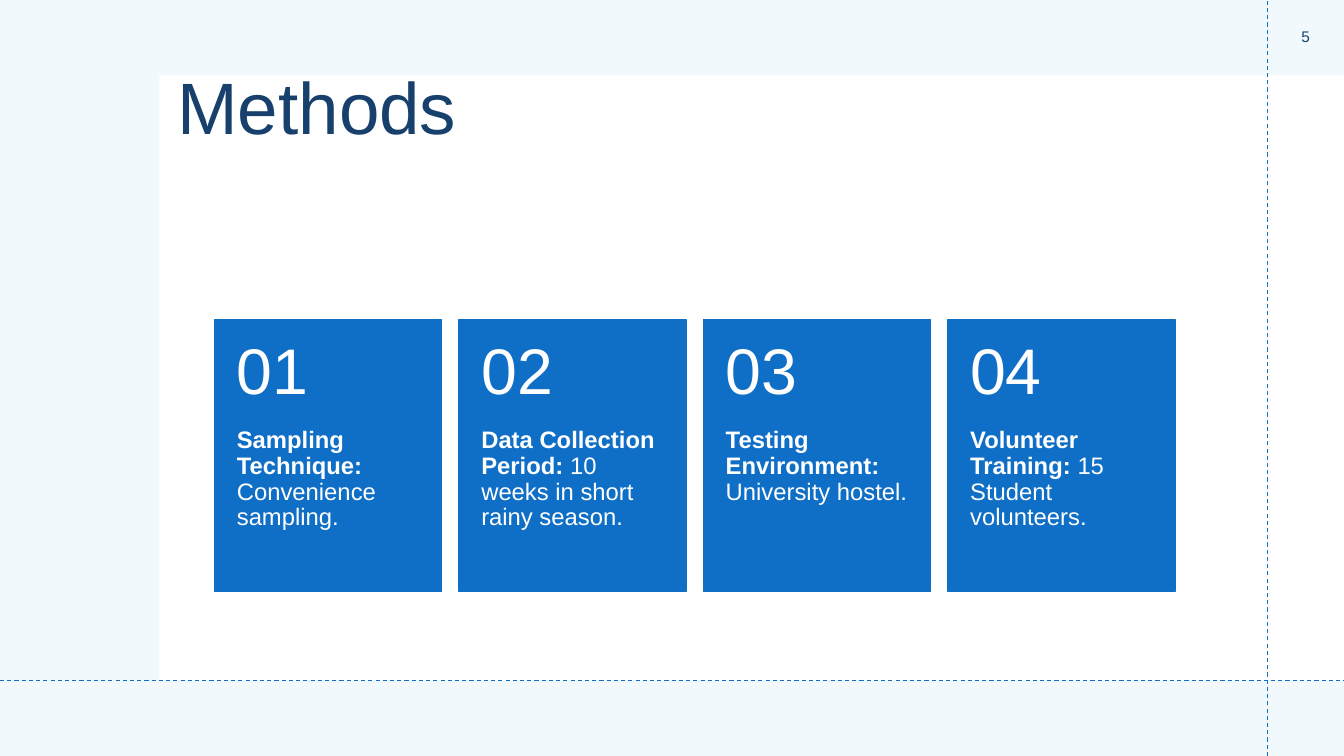
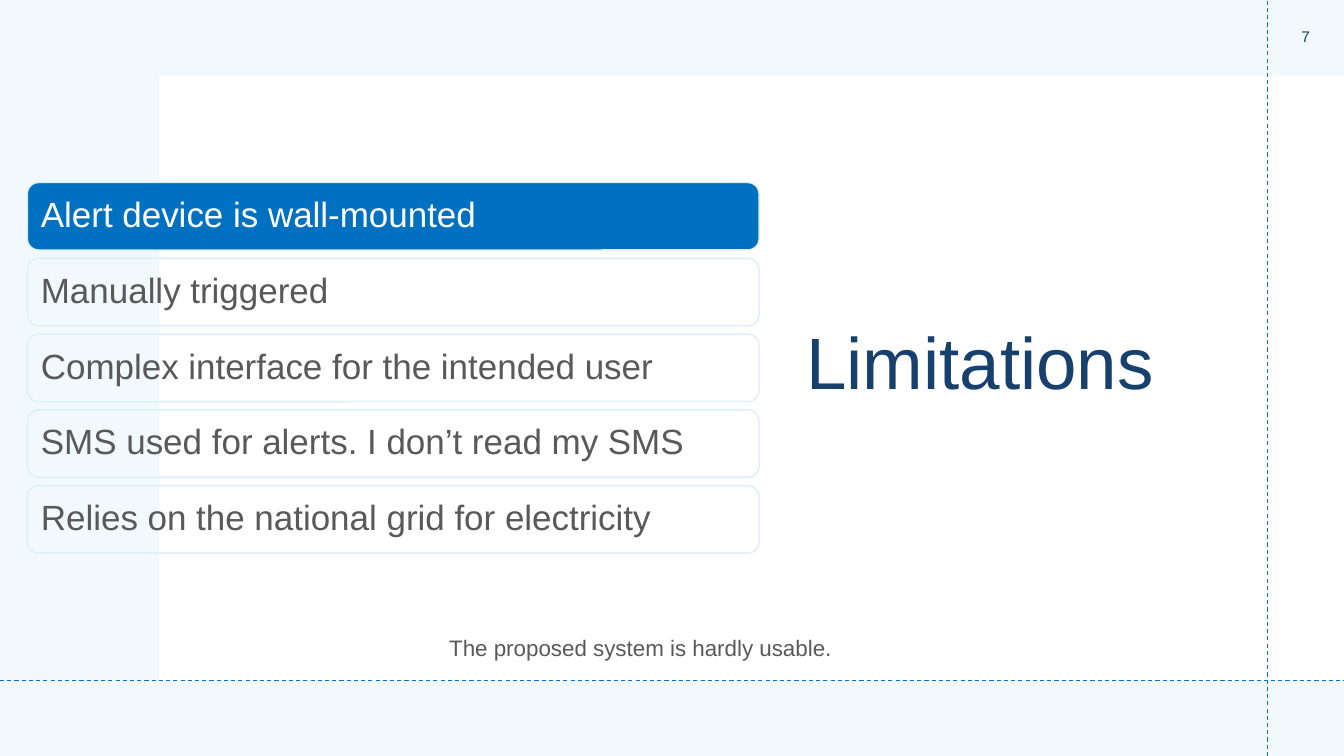
from dataclasses import dataclass

from lxml.etree import SubElement
from pptx import Presentation
from pptx.dml.color import RGBColor
from pptx.enum.dml import MSO_LINE
from pptx.enum.shapes import MSO_CONNECTOR, MSO_SHAPE
from pptx.enum.text import MSO_ANCHOR, MSO_AUTO_SIZE, PP_ALIGN
from pptx.oxml.ns import qn
from pptx.shapes.autoshape import Shape
from pptx.slide import Slide
from pptx.util import Cm, Pt

FONT = "Arial"
WHITE = "FFFFFF"
NAVY = "17406D"
BLUE = "0F6FC6"
BRIGHT_BLUE = "0070C0"
PALE_BLUE = "DBEFF9"
GREY = "595959"

SLIDE_WIDTH, SLIDE_HEIGHT = 33.87, 19.05
TITLE_ONLY = 5


@dataclass(frozen=True)
class Box:
    """A rectangle in centimetres."""
    left: float
    top: float
    width: float
    height: float

    def lengths(self) -> tuple[Cm, Cm, Cm, Cm]:
        return Cm(self.left), Cm(self.top), Cm(self.width), Cm(self.height)


@dataclass(frozen=True)
class Method:
    heading: str
    detail: str


METHODS = [
    Method("Sampling Technique: ", "Convenience sampling."),
    Method("Data Collection Period: ", "10 weeks in short rainy season."),
    Method("Testing Environment: ", "University hostel."),
    Method("Volunteer Training: ", "15 Student volunteers."),
]
FIRST_CARD = Box(5.41, 8.05, 5.72, 6.86)
CARD_PITCH = 6.16
CARD_NUMBER_HEIGHT = 2.74

LIMITATIONS = [
    "Alert device is wall-mounted",
    "Manually triggered",
    "Complex interface for the intended user",
    "SMS used for alerts. I don’t read my SMS",
    "Relies on the national grid for electricity",
]
FIRST_BAR = Box(0.69, 4.6, 18.44, 1.7)
BAR_PITCH = 1.91


def rgb(color: str) -> RGBColor:
    return RGBColor.from_string(color)


def write_text(shape: Shape, text: str, *, size: float, color: str, lead: str = "",
               align: PP_ALIGN = PP_ALIGN.LEFT, anchor: MSO_ANCHOR = MSO_ANCHOR.TOP,
               spacing: float = 0.9,
               insets: tuple[float, float, float, float] = (0.25, 0.13, 0.25, 0.13)) -> None:
    """Write one paragraph, with an optional bold lead; insets run left, top, right, bottom."""
    frame = shape.text_frame
    frame.word_wrap = True
    frame.auto_size = MSO_AUTO_SIZE.NONE
    frame.vertical_anchor = anchor
    frame.margin_left, frame.margin_top, frame.margin_right, frame.margin_bottom = map(Cm, insets)
    paragraph = frame.paragraphs[0]
    paragraph.alignment = align
    paragraph.line_spacing = spacing
    for part, bold in ((lead, True), (text, False)):
        if part:
            run = paragraph.add_run()
            run.text = part
            run.font.name = FONT
            run.font.size = Pt(size)
            run.font.bold = bold
            run.font.color.rgb = rgb(color)


def add_panel(slide: Slide, box: Box, *, fill: str | None = None, line: str | None = None,
              opacity: int = 100, kind: MSO_SHAPE = MSO_SHAPE.RECTANGLE) -> Shape:
    panel = slide.shapes.add_shape(kind, *box.lengths())
    panel.shadow.inherit = False
    if fill:
        panel.fill.solid()
        panel.fill.fore_color.rgb = rgb(fill)
        if opacity < 100:
            color = panel.fill._xPr.find(qn("a:solidFill"))[0]
            SubElement(color, qn("a:alpha")).set("val", str(opacity * 1000))
    else:
        panel.fill.background()
    if line:
        panel.line.color.rgb = rgb(line)
        panel.line.width = Pt(1)
    else:
        panel.line.fill.background()
    return panel


def add_label(slide: Slide, box: Box, text: str, **text_format) -> Shape:
    label = slide.shapes.add_textbox(*box.lengths())
    write_text(label, text, **text_format)
    return label


def add_guide(slide: Slide, x1: float, y1: float, x2: float, y2: float) -> None:
    guide = slide.shapes.add_connector(MSO_CONNECTOR.STRAIGHT, Cm(x1), Cm(y1), Cm(x2), Cm(y2))
    guide.line.color.rgb = rgb(BLUE)
    guide.line.width = Pt(0.75)
    guide.line.dash_style = MSO_LINE.DASH
    SubElement(guide.element.spPr, qn("a:effectLst"))


def add_framed_slide(deck: Presentation, title: str, title_box: Box, number: int,
                     title_anchor: MSO_ANCHOR = MSO_ANCHOR.TOP) -> Slide:
    """Add a slide with the shared backdrop, title, number and guide lines."""
    slide = deck.slides.add_slide(deck.slide_layouts[TITLE_ONLY])
    slide.background.fill.solid()
    slide.background.fill.fore_color.rgb = rgb(WHITE)

    # Tinted border around a white content area
    add_panel(slide, Box(0, 0, SLIDE_WIDTH, SLIDE_HEIGHT), fill=PALE_BLUE, opacity=35)
    add_panel(slide, Box(4.02, 1.9, 29.85, 15.24), fill=WHITE)

    # Title, brought in front of the backdrop
    heading = slide.shapes.title
    slide.shapes.element.append(heading.element)
    heading.left, heading.top, heading.width, heading.height = title_box.lengths()
    write_text(heading, title, size=52, color=NAVY, anchor=title_anchor)

    # Slide number and guide lines
    add_label(slide, Box(31.95, -0.05, 1.91, 1.91), str(number), size=11, color=NAVY,
              align=PP_ALIGN.CENTER, anchor=MSO_ANCHOR.MIDDLE, spacing=1.0)
    add_guide(slide, 31.93, SLIDE_HEIGHT, 31.93, 0)
    add_guide(slide, 0, 17.15, SLIDE_WIDTH, 17.15)
    return slide


def add_method_card(slide: Slide, index: int, method: Method) -> None:
    left = FIRST_CARD.left + index * CARD_PITCH
    top, width, height = FIRST_CARD.top, FIRST_CARD.width, FIRST_CARD.height
    add_panel(slide, Box(left, top, width, height), fill=BLUE, line=BLUE)
    add_label(slide, Box(left, top + CARD_NUMBER_HEIGHT, width, height - CARD_NUMBER_HEIGHT),
              method.detail, lead=method.heading, size=17, color=WHITE,
              insets=(0.56, 0, 0.56, 0.91))
    add_label(slide, Box(left, top, width, CARD_NUMBER_HEIGHT), f"{index + 1:02}",
              size=46, color=WHITE, anchor=MSO_ANCHOR.MIDDLE, insets=(0.56, 0.46, 0.56, 0.46))


def add_limitation_bar(slide: Slide, index: int, limitation: str) -> None:
    highlighted = index == 0
    box = Box(FIRST_BAR.left, FIRST_BAR.top + index * BAR_PITCH,
              FIRST_BAR.width, FIRST_BAR.height)
    bar = add_panel(slide, box, fill=BRIGHT_BLUE if highlighted else None,
                    line=PALE_BLUE, kind=MSO_SHAPE.ROUNDED_RECTANGLE)
    # The preset adds a small corner inset of its own
    write_text(bar, limitation, size=25, color=WHITE if highlighted else GREY,
               anchor=MSO_ANCHOR.MIDDLE, insets=(0.26, 0.25, 0.26, 0.25))


def build_methods(deck: Presentation) -> None:
    slide = add_framed_slide(deck, "Methods", Box(4.22, 1.68, 27.1, 4.83), 5)
    for index, method in enumerate(METHODS):
        add_method_card(slide, index, method)


def build_limitations(deck: Presentation) -> None:
    slide = add_framed_slide(deck, "Limitations", Box(20.07, 2.31, 11.63, 13.82), 7,
                             title_anchor=MSO_ANCHOR.MIDDLE)
    for index, limitation in enumerate(LIMITATIONS):
        add_limitation_bar(slide, index, limitation)
    add_label(slide, Box(11.07, 15.85, 11.07, 1.63), "The proposed system is hardly usable.",
              size=16, color=GREY, spacing=1.0)


def main() -> None:
    deck = Presentation()
    deck.slide_width, deck.slide_height = Cm(SLIDE_WIDTH), Cm(SLIDE_HEIGHT)
    build_methods(deck)
    build_limitations(deck)
    deck.save("out.pptx")


if __name__ == "__main__":
    main()
